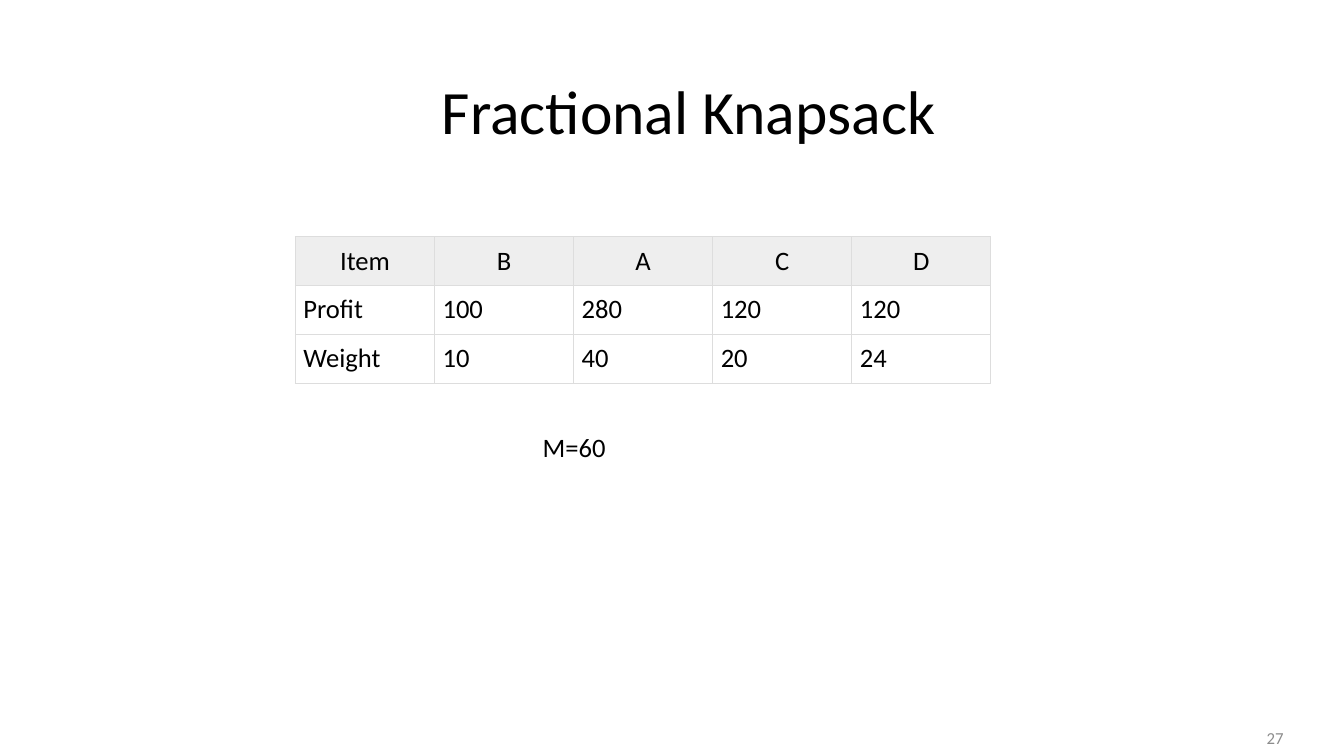
from lxml import etree
from pptx import Presentation
from pptx.dml.color import RGBColor
from pptx.enum.text import MSO_ANCHOR, PP_ALIGN
from pptx.oxml.ns import qn
from pptx.util import Pt

LEFT, CENTER, RIGHT = PP_ALIGN.LEFT, PP_ALIGN.CENTER, PP_ALIGN.RIGHT
MIDDLE = MSO_ANCHOR.MIDDLE
FONT = "Calibri"
BLACK, GRAY, HEADER_FILL, BORDER = "000000", "8C8C8C", "EEEEEE", "DDDDDD"
BODY_SIZE = 19

ITEMS = [
    ["Item", "B", "A", "C", "D"],
    ["Profit", "100", "280", "120", "120"],
    ["Weight", "10", "40", "20", "24"],
]
COLUMN_WIDTH, ROW_HEIGHT, CELL_MARGIN = 99.36, 34.9, 5.76


def color(value):
    return RGBColor.from_string(value)


def write_text(frame, text, size, alignment, text_color=BLACK):
    paragraph = frame.paragraphs[0]
    paragraph.alignment = alignment
    run = paragraph.add_run()
    run.text = text
    run.font.name = FONT
    run.font.size = Pt(size)
    run.font.color.rgb = color(text_color)


def add_text(slide, box, text, size, alignment, text_color=BLACK, wrap=True):
    shape = slide.shapes.add_textbox(*(Pt(length) for length in box))
    frame = shape.text_frame
    frame.word_wrap = wrap
    frame.vertical_anchor = MIDDLE
    write_text(frame, text, size, alignment, text_color)


def set_borders(cell):
    properties = cell._tc.get_or_add_tcPr()
    for index, side in enumerate(("a:lnL", "a:lnR", "a:lnT", "a:lnB")):
        line = etree.Element(qn(side), w=str(Pt(0.75)))
        fill = etree.SubElement(line, qn("a:solidFill"))
        etree.SubElement(fill, qn("a:srgbClr"), val=BORDER)
        # Border lines come before the cell fill
        properties.insert(index, line)


def fill_cell(cell, text, is_header):
    cell.margin_left = cell.margin_right = Pt(CELL_MARGIN)
    cell.margin_top = cell.margin_bottom = Pt(CELL_MARGIN)
    if is_header:
        cell.fill.solid()
        cell.fill.fore_color.rgb = color(HEADER_FILL)
    else:
        cell.fill.background()
    set_borders(cell)
    write_text(cell.text_frame, text, BODY_SIZE, CENTER if is_header else LEFT)


def add_item_table(slide, left, top, rows):
    row_count, column_count = len(rows), len(rows[0])
    table = slide.shapes.add_table(
        row_count, column_count, Pt(left), Pt(top),
        Pt(COLUMN_WIDTH * column_count), Pt(ROW_HEIGHT * row_count)).table
    table.horz_banding = False
    for column in table.columns:
        column.width = Pt(COLUMN_WIDTH)
    for row_index, values in enumerate(rows):
        table.rows[row_index].height = Pt(ROW_HEIGHT)
        for column_index, value in enumerate(values):
            fill_cell(table.cell(row_index, column_index), value, row_index == 0)
    # Header text keeps its regular weight
    table.first_row = False


def main():
    presentation = Presentation()
    presentation.slide_width, presentation.slide_height = Pt(960), Pt(540)
    slide = presentation.slides.add_slide(presentation.slide_layouts[6])

    # Slide number and title
    add_text(slide, (700, 512.5, 224, 28.75), "27", 12, RIGHT, GRAY)
    add_text(slide, (60, 33.8, 864, 90), "Fractional Knapsack", 44, CENTER)

    # Items and knapsack capacity
    add_item_table(slide, 211, 169.2, ITEMS)
    add_text(slide, (380.2, 303.8, 59.8, 30.2), "M=60", BODY_SIZE, CENTER, wrap=False)

    presentation.save("out.pptx")


if __name__ == "__main__":
    main()
